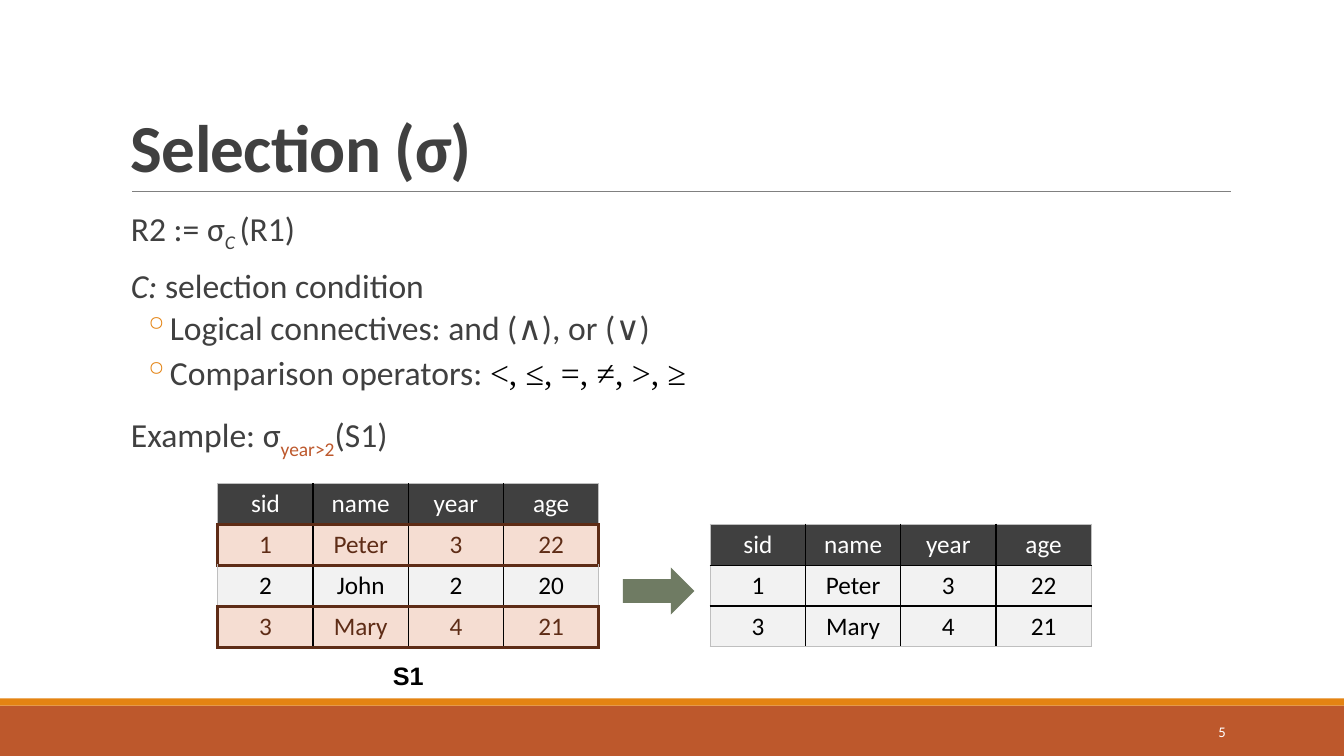
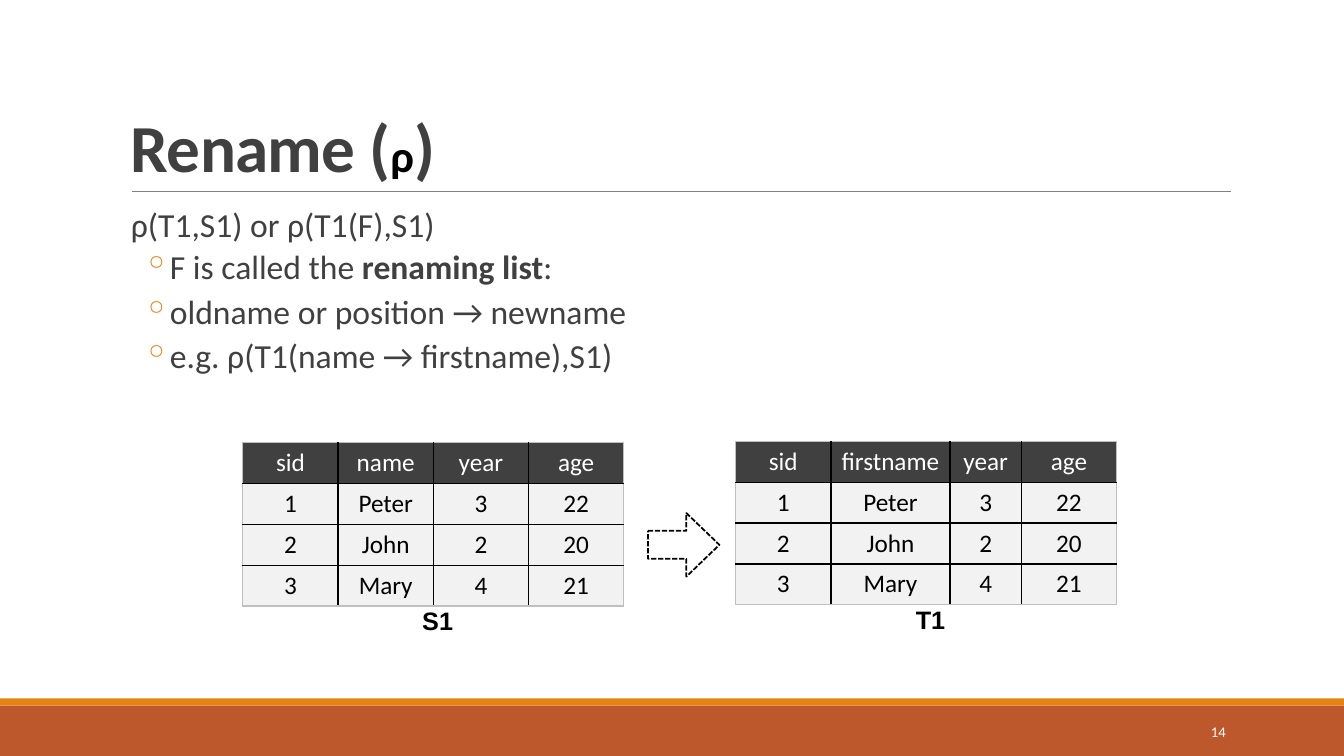
from lxml import etree
from pptx import Presentation
from pptx import util as u
from pptx.dml.color import RGBColor
from pptx.enum import dml, shapes, text
from pptx.oxml import ns

COLORS = {
    "text": "404040", "black": "000000", "white": "FFFFFF",
    "rust": "BD582C", "orange": "E48312", "rule": "808080",
    "sage": "6F7B63", "row": "F2F2F2", "edge": "BFBFBF",
    "picked": "F5DDD2", "picked_text": "5E2C16",
}

# Font formats: every key but color, sub and spacing is a font attribute
TITLE = {"name": "Calibri", "size": u.Pt(48), "bold": True, "color": "text", "spacing": -50}
BODY = {"name": "Calibri", "size": u.Pt(24), "color": "text"}
CELL = {"name": "Calibri", "size": u.Pt(18)}
CAPTION = {"name": "Arial", "size": u.Pt(18), "bold": True, "color": "black"}
NUMBER = {"name": "Calibri", "size": u.Pt(10.5), "color": "white"}

# Paragraph formats of the two body levels
LEVELS = [
    {"level": 0, "line_spacing": 0.9, "space_before": u.Pt(12), "space_after": u.Pt(2)},
    {"level": 1, "line_spacing": 0.9, "space_before": u.Pt(2), "space_after": u.Pt(4)},
]

# Table content
HEADER = ["sid", "name", "year", "age"]
PETER = ["1", "Peter", "3", "22"]
JOHN = ["2", "John", "2", "20"]
MARY = ["3", "Mary", "4", "21"]
STUDENTS = [PETER, JOHN, MARY]
EVEN_COLUMNS = [2.4] * 4
ROW_HEIGHT = 1.03


def rgb(color):
    return RGBColor.from_string(COLORS[color])


def apply(target, values):
    for name, value in values.items():
        setattr(target, name, value)


def add_element(parent, tag, **attributes):
    return etree.SubElement(parent, ns.qn(tag), attributes)


# Text
def add_span(para, words, style):
    span = para.add_run()
    span.text = words
    style = dict(style)
    span.font.color.rgb = rgb(style.pop("color"))
    properties = span.font._element
    if style.pop("sub", False):
        properties.set("baseline", "-25000")
    if "spacing" in style:
        properties.set("spc", str(style.pop("spacing")))
    apply(span.font, style)


def add_spans(para, spans, style):
    """Each span is plain words or a pair of words and format changes."""
    for item in spans:
        words, changes = (item, {}) if isinstance(item, str) else item
        add_span(para, words, {**style, **changes})


def add_box(page, left, top, width, height, **frame_values):
    box = page.shapes.add_textbox(u.Cm(left), u.Cm(top), u.Cm(width), u.Cm(height))
    apply(box.text_frame, {"word_wrap": True, **frame_values})
    return box.text_frame


def add_line_of_text(page, place, spans, style, align, **frame_values):
    para = add_box(page, *place, **frame_values).paragraphs[0]
    para.alignment = align
    add_spans(para, spans, style)
    return para


def add_body(page, paragraphs):
    frame = add_box(page, 3.05, 5.13, 27.94, 11.18, margin_left=0, margin_right=0)
    for index, (level, spans) in enumerate(paragraphs):
        para = frame.paragraphs[0] if index == 0 else frame.add_paragraph()
        properties = para._p.get_or_add_pPr()
        indent, hanging = ((0.25, 0), (1.07, -0.51))[level]
        properties.set("marL", str(u.Cm(indent)))
        properties.set("indent", str(u.Cm(hanging)))
        if level:
            bullet_color = add_element(properties, "a:buClr")
            add_element(bullet_color, "a:srgbClr", val=COLORS["orange"])
            add_element(properties, "a:buChar", char="◦")
        else:
            add_element(properties, "a:buNone")
        apply(para, LEVELS[level])
        if index == 0:
            para.space_before = 0
        add_spans(para, spans, BODY)


def add_caption(page, left, top, words):
    add_line_of_text(page, (left, top, 3, 1.02), [words], CAPTION, text.PP_ALIGN.CENTER)


# Shapes
def add_filled(page, kind, place, color):
    shape = page.shapes.add_shape(kind, *(u.Cm(length) for length in place))
    shape.shadow.inherit = False
    shape.fill.solid()
    shape.fill.fore_color.rgb = rgb(color)
    shape.line.fill.background()
    return shape


def add_arrow(page, place, color):
    return add_filled(page, shapes.MSO_SHAPE.RIGHT_ARROW, place, color)


def add_rule(page, left, right, top):
    rule = page.shapes.add_connector(
        shapes.MSO_CONNECTOR.STRAIGHT, u.Cm(left), u.Cm(top), u.Cm(right), u.Cm(top))
    rule.line.color.rgb = rgb("rule")
    rule.line.width = u.Pt(0.5)
    add_element(rule._element.spPr, "a:effectLst")


# Tables
def set_border(cell, side, color, points):
    line = add_element(cell._tc.get_or_add_tcPr(), "a:ln" + side, w=str(u.Pt(points)))
    fill = add_element(line, "a:solidFill")
    add_element(fill, "a:srgbClr", val=COLORS[color])


def border_style(outer, picked):
    if picked:
        return "picked_text", 2.25
    return ("edge" if outer else "black"), 1


def add_relation(page, left, top, rows, header=HEADER, widths=EVEN_COLUMNS, picked=()):
    """Draw a relation; the row numbers in picked are highlighted."""
    records = [header, *rows]
    table = page.shapes.add_table(
        len(records), len(header), u.Cm(left), u.Cm(top),
        u.Cm(sum(widths)), u.Cm(ROW_HEIGHT * len(records))).table
    apply(table, {"first_row": False, "horz_banding": False})
    for column, width in zip(table.columns, widths):
        column.width = u.Cm(width)
    last_row, last_column = len(records) - 1, len(header) - 1
    for r, record in enumerate(records):
        table.rows[r].height = u.Cm(ROW_HEIGHT)
        chosen = r in picked
        fill, ink = ("picked", "picked_text") if chosen else ("row", "black")
        if r == 0:
            fill, ink = "text", "white"
        for c, words in enumerate(record):
            cell = table.cell(r, c)
            # Side: is it on the outside, does it touch a highlighted row
            sides = {
                "L": (c == 0, chosen and c == 0),
                "R": (c == last_column, chosen and c == last_column),
                "T": (r == 0, chosen or r - 1 in picked),
                "B": (r == last_row, chosen or r + 1 in picked),
            }
            for side, state in sides.items():
                set_border(cell, side, *border_style(*state))
            cell.fill.solid()
            cell.fill.fore_color.rgb = rgb(fill)
            para = cell.text_frame.paragraphs[0]
            para.alignment = text.PP_ALIGN.CENTER
            add_span(para, words, {**CELL, "color": ink})


# Shared frame of every slide
def add_page(deck, title, number):
    page = deck.slides.add_slide(deck.slide_layouts[6])
    for top, height, color in ((17.78, 1.27, "rust"), (17.6, 0.18, "orange")):
        add_filled(page, shapes.MSO_SHAPE.RECTANGLE, (0, top, 33.87, height), color)
    add_rule(page, 3.33, 31.01, 4.83)
    heading = add_line_of_text(
        page, (3.05, 0.79, 27.94, 4.04), title, TITLE, text.PP_ALIGN.LEFT,
        vertical_anchor=text.MSO_ANCHOR.BOTTOM)
    heading.line_spacing = 0.85
    add_line_of_text(
        page, (27.51, 17.93, 3.63, 1.02), [str(number)], NUMBER, text.PP_ALIGN.RIGHT,
        vertical_anchor=text.MSO_ANCHOR.MIDDLE)
    return page


def add_selection(deck):
    page = add_page(deck, ["Selection (σ)"], 5)
    add_body(page, [
        (0, ["R2 := σ", ("C ", {"italic": True, "sub": True}), "(R1)"]),
        (0, [("C: ", {"italic": True}), "selection condition"]),
        (1, ["Logical connectives: and (∧), or (∨)"]),
        (1, ["Comparison operators: ",
             ("<, ≤, =, ≠, >, ≥", {"name": "Times New Roman", "color": "black"})]),
        (0, ["Example: σ", ("year>2", {"color": "rust", "sub": True}), "(S1)"]),
    ])
    add_arrow(page, (15.7, 14.3, 1.8, 1.19), "sage")
    add_relation(page, 5.49, 12.19, STUDENTS, picked=(1, 3))
    add_relation(page, 17.9, 13.21, [PETER, MARY])
    add_caption(page, 8.79, 16.51, "S1")


def add_rename(deck):
    rho = ("ρ", {"size": u.Pt(32), "color": "black"})
    page = add_page(deck, ["Rename (", rho, ")"], 14)
    add_body(page, [
        (0, ["ρ(T1,S1) or ρ(T1(F),S1)"]),
        (1, ["F is called the ", ("renaming list", {"bold": True}), ":"]),
        (1, ["oldname or position → newname"]),
        (1, ["e.g. ρ(T1(name → firstname),S1)"]),
    ])
    add_relation(page, 6.12, 11.15, STUDENTS)
    add_caption(page, 9.53, 15.14, "S1")
    add_relation(page, 18.54, 11.12, STUDENTS, header=["sid", "firstname", "year", "age"],
                 widths=[2.4, 3, 1.8, 2.4])
    add_caption(page, 21.95, 15.11, "T1")
    arrow = add_arrow(page, (16.33, 12.93, 1.8, 1.6), "white")
    arrow.adjustments[0], arrow.adjustments[1] = 0.44, 0.52
    arrow.line.color.rgb = rgb("black")
    apply(arrow.line, {"width": u.Pt(1.25), "dash_style": dml.MSO_LINE.SQUARE_DOT})


def main():
    deck = Presentation()
    apply(deck, {"slide_width": u.Cm(33.87), "slide_height": u.Cm(19.05)})
    add_selection(deck)
    add_rename(deck)
    deck.save("out.pptx")


if __name__ == "__main__":
    main()
